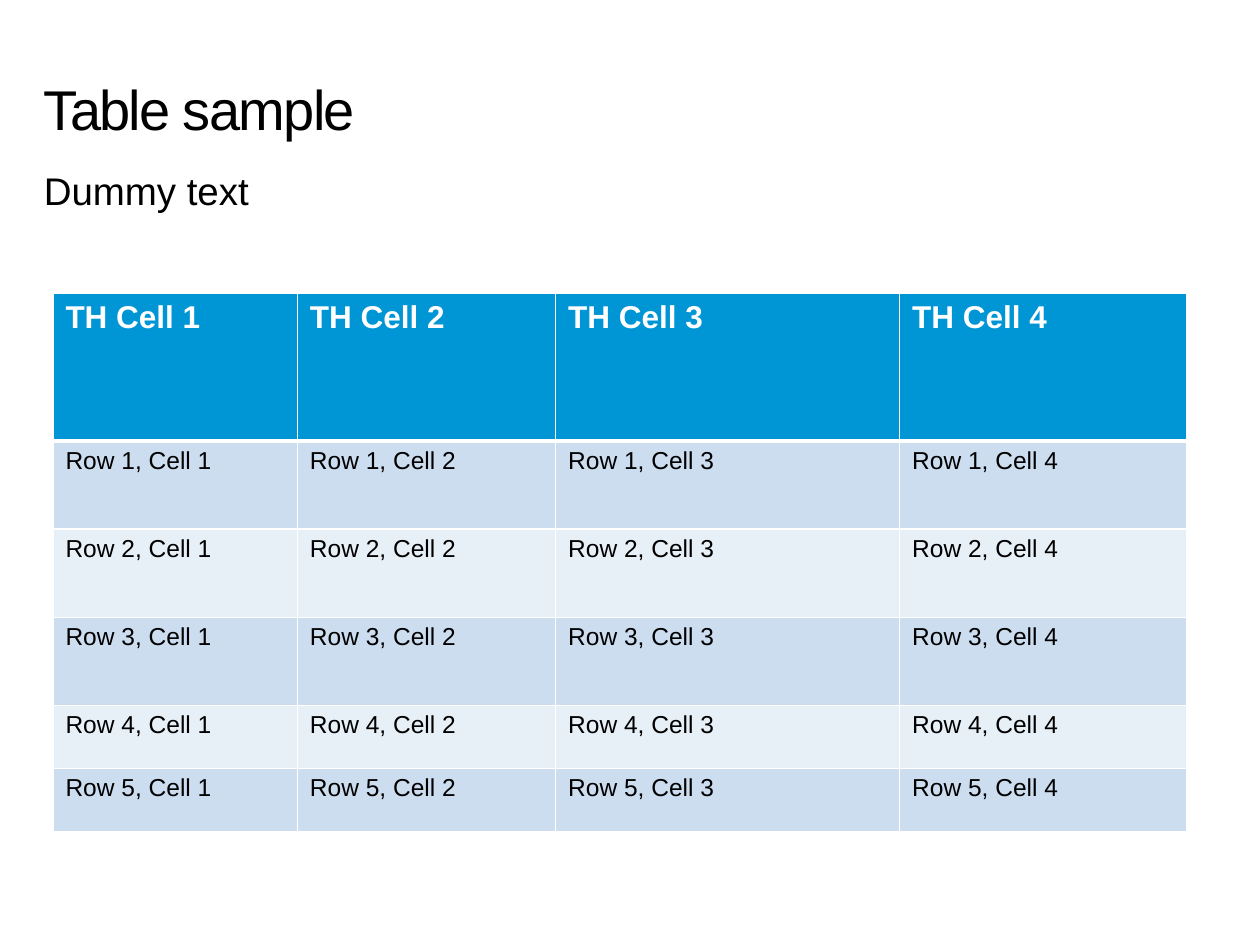
from lxml.etree import SubElement
from pptx import Presentation
from pptx.dml.color import RGBColor
from pptx.enum.text import MSO_ANCHOR as Anchor
from pptx.oxml.ns import qn
from pptx.util import Inches, Pt

WIDTH, HEIGHT = Inches(10), Inches(7.5)
WHITE, BLACK, BLUE = "FFFFFF", "000000", "0096D6"
BANDS = ("CCDDF0", "E7EFF7")
COLUMNS = (1.94, 2.05, 2.73, 2.28)
ROWS = (1.17, 0.7, 0.7, 0.7, 0.5, 0.5)


def color(code):
    return RGBColor.from_string(code)


def apply(target, formats):
    for key, value in formats.items():
        setattr(target, key, value)


def write(paragraph, wording, size, code, bold=False):
    run = paragraph.add_run()
    run.text = wording
    apply(run.font, {"name": "Arial", "size": Pt(size), "bold": bold})
    run.font.color.rgb = color(code)
    return run


def add_heading(slide, box, wording, size, anchor, line_spacing, tracking=0):
    frame = slide.shapes.add_textbox(*box).text_frame
    apply(frame, {"word_wrap": True, "vertical_anchor": anchor})
    paragraph = frame.paragraphs[0]
    paragraph.line_spacing = line_spacing
    run = write(paragraph, wording, size, BLACK)
    if tracking:
        run.font._element.set("spc", str(tracking * 100))


def add_borders(cell, widths):
    properties = cell._tc.get_or_add_tcPr()
    for side, width in widths.items():
        line = SubElement(properties, qn(f"a:ln{side}"), w=str(Pt(width)))
        fill = SubElement(line, qn("a:solidFill"))
        SubElement(fill, qn("a:srgbClr"), val=WHITE)


def add_sample_table(slide, box):
    left, top, width, height = box
    table = slide.shapes.add_table(len(ROWS), len(COLUMNS), *box).table
    for column, share in zip(table.columns, COLUMNS):
        column.width = int(width * share / sum(COLUMNS))
    for row, share in zip(table.rows, ROWS):
        row.height = int(height * share / sum(ROWS))
    for r, row in enumerate(table.rows):
        for c, cell in enumerate(row.cells, 1):
            header = r == 0
            add_borders(cell, {"L": 1, "R": 1, "T": 3 if r == 1 else 1,
                               "B": 3 if header else 1})
            cell.fill.solid()
            cell.fill.fore_color.rgb = color(BLUE if header else BANDS[(r - 1) % 2])
            paragraph = cell.text_frame.paragraphs[0]
            if header:
                write(paragraph, f"TH Cell {c}", 18, WHITE, True)
            else:
                write(paragraph, f"Row {r}, Cell {c}", 14, BLACK)


def build():
    deck = Presentation()
    apply(deck, {"slide_width": WIDTH, "slide_height": HEIGHT})
    slide = deck.slides.add_slide(deck.slide_layouts[6])
    margin, span = Inches(0.25), Inches(9.5)
    add_heading(slide, (margin, Inches(0.25), span, Inches(0.92)),
                "Table sample", 32, Anchor.BOTTOM, 0.8, -1)
    add_heading(slide, (margin, Inches(1.3), span, Inches(0.95)),
                "Dummy text", 22, Anchor.TOP, 0.95)
    add_sample_table(slide, (Inches(0.42), Inches(2.33), Inches(9), Inches(4.27)))
    deck.save("out.pptx")


build()
